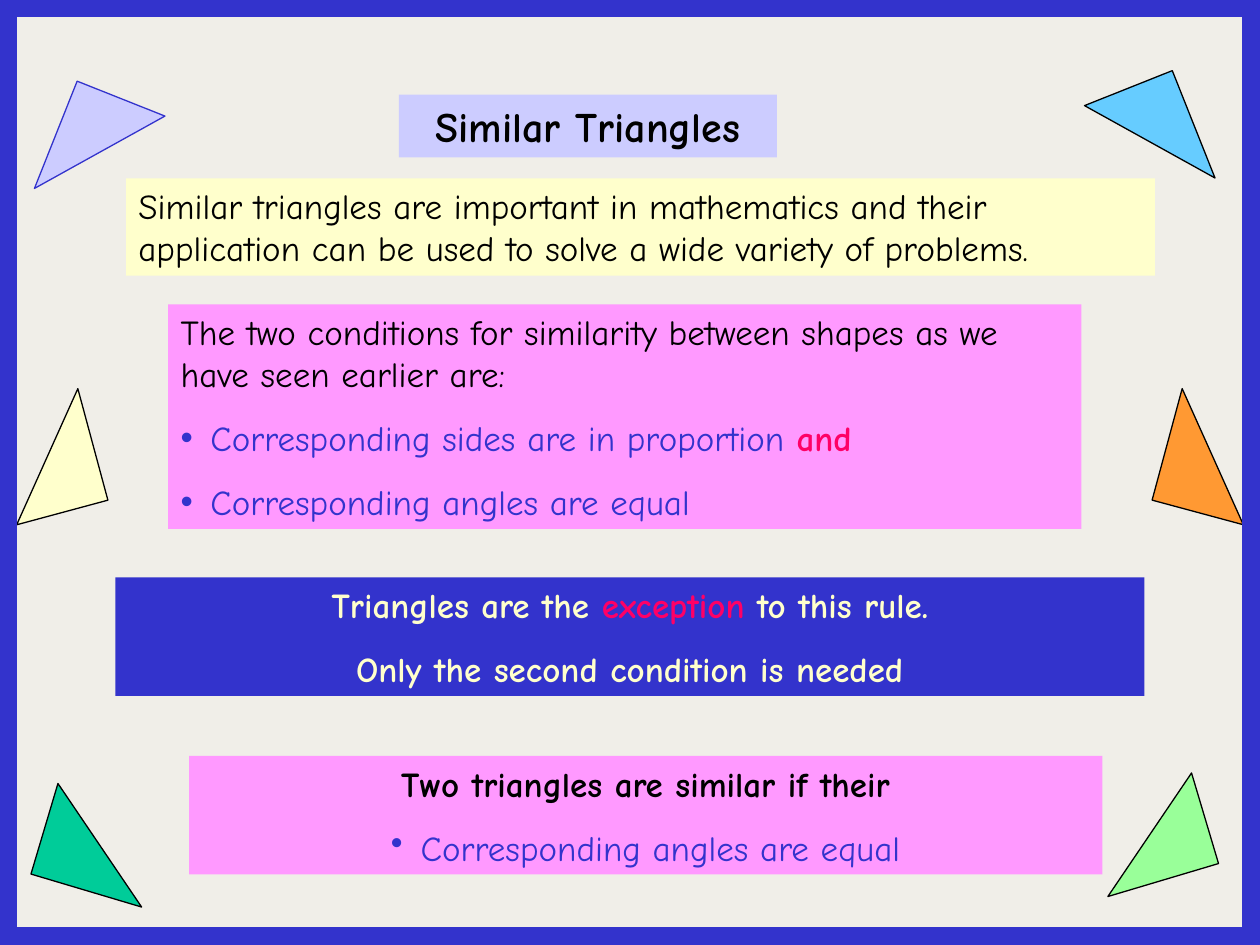
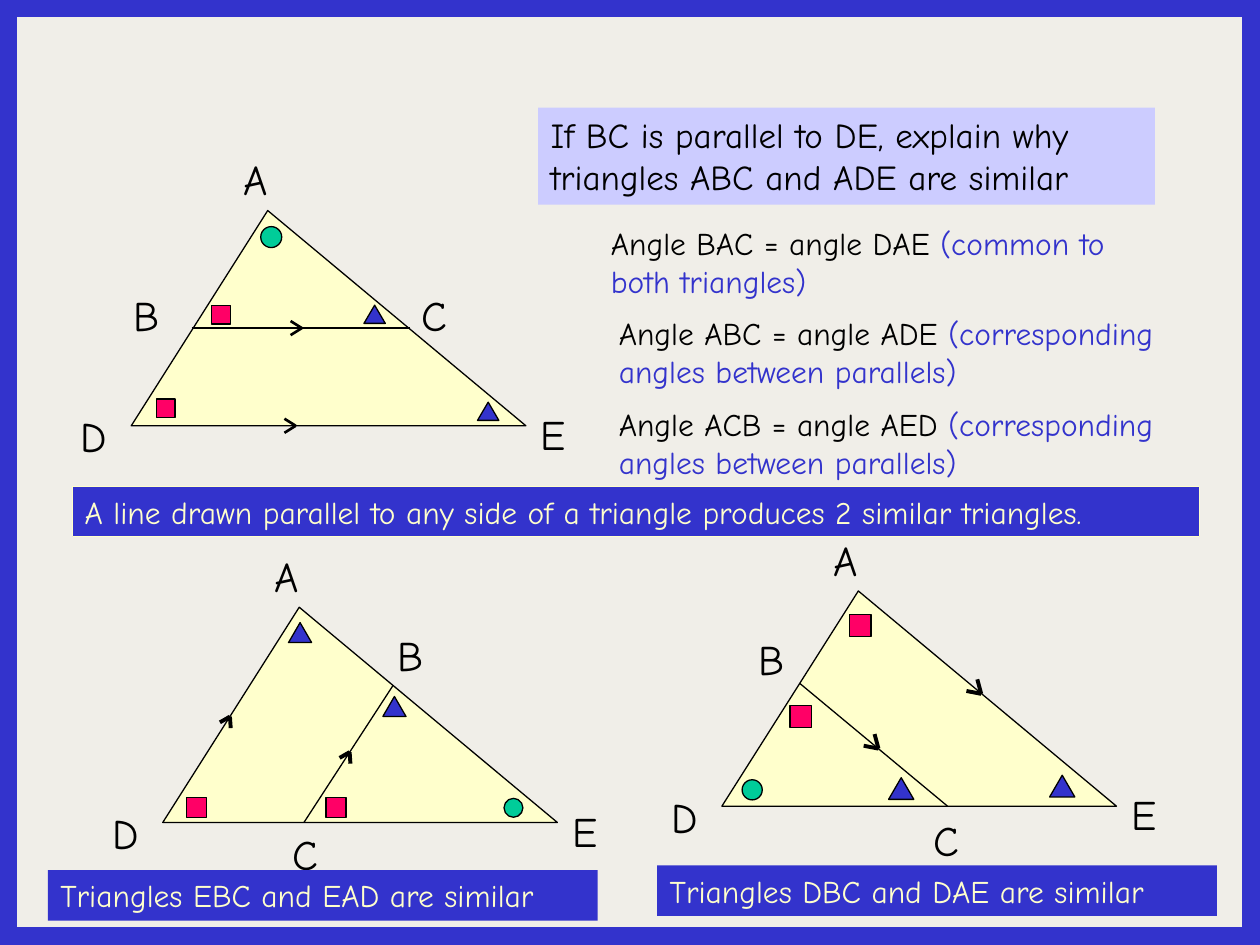
import math
from lxml import etree
from pptx import Presentation
from pptx import util as u
from pptx.dml import color as c
from pptx.enum import shapes, text
from pptx.oxml import ns

Pt = u.Pt
COLORS = {
    "paper": "F0EEE8", "black": "000000", "blue": "3333CC", "cream": "FFFFCC",
    "lilac": "CCCCFF", "pink": "FF99FF", "red": "FF0066", "green": "00CC99",
    "sky": "66CCFF", "orange": "FF9933", "lime": "99FF99",
}
RECT = shapes.MSO_SHAPE.RECTANGLE
TRIANGLE = shapes.MSO_SHAPE.ISOSCELES_TRIANGLE
ANGLE_MARKS = {
    "circle": (shapes.MSO_SHAPE.OVAL, "green"),
    "square": (RECT, "red"),
    "triangle": (TRIANGLE, "blue"),
}


def rgb(name):
    return c.RGBColor.from_string(COLORS[name])


def add_span(para, content, *, size=20, color="black", bold=False):
    span = para.add_run()
    span.text = content
    font = span.font
    font.name, font.size, font.bold = "Comic Neue", Pt(size), bold
    font.color.rgb = rgb(color)


def set_bullet(para, color):
    """Give the paragraph a hanging dot, or clear any inherited bullet if color is None."""
    props = para._p.get_or_add_pPr()
    hang = Pt(17) if color else 0
    props.set("marL", str(hang))
    props.set("indent", str(-hang))
    if not color:
        etree.SubElement(props, ns.qn("a:buNone"))
        return
    tint = etree.SubElement(props, ns.qn("a:buClr"))
    etree.SubElement(tint, ns.qn("a:srgbClr"), val=COLORS[color])
    etree.SubElement(props, ns.qn("a:buChar"), char="•")


class Page:
    """One slide in the shared style; all lengths are points."""

    def __init__(self, deck, layout):
        self.slide = deck.slides.add_slide(deck.slide_layouts[layout])
        self.shapes = self.slide.shapes

    def dress(self, shape, fill=None, line=None, width=0.75):
        if fill:
            shape.fill.solid()
            shape.fill.fore_color.rgb = rgb(fill)
        else:
            shape.fill.background()
        if line:
            shape.line.color.rgb = rgb(line)
            shape.line.width = Pt(width)
        else:
            shape.line.fill.background()
        return shape

    def shape(self, kind, at, fill=None, line=None, width=0.75):
        shape = self.shapes.add_shape(kind, *map(Pt, at))
        shape.shadow.inherit = False
        return self.dress(shape, fill, line, width)

    def prepare(self, box):
        frame = box.text_frame
        frame.word_wrap = True
        frame.auto_size = text.MSO_AUTO_SIZE.NONE
        frame.vertical_anchor = text.MSO_ANCHOR.TOP
        return box

    def panel(self, at, fill, line=None):
        return self.prepare(self.shape(RECT, at, fill, line))

    def placeholder(self, index, at, fill):
        box = self.slide.placeholders[index]
        box.left, box.top, box.width, box.height = map(Pt, at)
        return self.prepare(self.dress(box, fill))

    def textbox(self, at):
        return self.prepare(self.shapes.add_textbox(*map(Pt, at)))

    def para(self, box, *spans, bullet=None, center=False, size=20, **style):
        """Add a paragraph of spans, each a string or a (string, format) pair."""
        frame = box.text_frame
        first = not frame.text
        para = frame.paragraphs[0] if first else frame.add_paragraph()
        para.alignment = text.PP_ALIGN.CENTER if center else text.PP_ALIGN.LEFT
        para.space_before = Pt(0 if first else 0.625 * size)
        set_bullet(para, bullet)
        for span in spans:
            content, extra = (span, {}) if isinstance(span, str) else span
            for number, row in enumerate(content.split("\n")):
                if number:
                    para.add_line_break()
                add_span(para, row, **{"size": size, **style, **extra})

    def line(self, start, end, width=0.75):
        line = self.shapes.add_connector(
            shapes.MSO_CONNECTOR.STRAIGHT, *map(Pt, (*start, *end)))
        line.line.color.rgb = rgb("black")
        line.line.width = Pt(width)
        etree.SubElement(line._element.spPr, ns.qn("a:effectLst"))

    def chevron(self, tip, heading, size, width):
        """Mark a parallel side with an open arrowhead; heading is in degrees, clockwise."""
        for turn in (148, 212):
            angle = math.radians(heading + turn)
            tail = (tip[0] + size * math.cos(angle), tip[1] + size * math.sin(angle))
            self.line(tail, tip, width)

    def vertex(self, letter, x, y):
        self.para(self.textbox((x, y, 30.5, 36)), letter, size=24)

    def triangle_ade(self, x, y):
        """Draw triangle ADE with its letters, apex A at x, y."""
        builder = self.shapes.build_freeform(Pt(x), Pt(y), scale=1.0)
        builder.add_line_segments(
            [(Pt(x - 78), Pt(y + 123)), (Pt(x + 147.5), Pt(y + 123))], close=True)
        outline = builder.convert_to_shape()
        outline.shadow.inherit = False
        self.dress(outline, "cream", "black")
        for letter, dx, dy in (("A", -21, -36), ("D", -114, 111), ("E", 149, 109.5)):
            self.vertex(letter, x + dx, y + dy)

    def angle_marks(self, kind, width, height, *corners):
        preset, fill = ANGLE_MARKS[kind]
        for corner in corners:
            self.shape(preset, (*corner, width, height), fill, "black")

    def border(self):
        self.shape(RECT, (0, 0, 720, 540), line="blue", width=20)


def build_conditions(deck):
    page = Page(deck, 1)
    title = page.placeholder(0, (228, 54, 216, 36), "lilac")
    page.para(title, "Similar Triangles", size=24, bold=True, center=True)

    intro = page.panel((72, 102, 588, 55.5), "cream")
    page.para(intro, "Similar triangles are important in mathematics and their "
                     "application can be used to solve a wide variety of problems.")

    conditions = page.placeholder(1, (96, 174, 522, 128.2), "pink")
    page.para(conditions, "The two conditions for similarity between shapes as we "
                          "have seen earlier are:")
    page.para(conditions, "Corresponding sides are in proportion ",
              ("and", {"color": "red", "bold": True}), bullet="blue", color="blue")
    page.para(conditions, "Corresponding angles are equal", bullet="blue", color="blue")

    exception = page.panel((66, 330, 588, 67.7), "blue")
    emphasis = {"center": True, "bold": True, "color": "cream"}
    page.para(exception, "Triangles are the ", ("exception", {"color": "red"}),
              " to this rule.", **emphasis)
    page.para(exception, "Only the second condition is needed", **emphasis)

    rule = page.panel((108, 432, 522, 67.7), "pink")
    page.para(rule, "Two triangles are similar if their", center=True, bold=True)
    page.para(rule, "Corresponding angles are equal", center=True,
              bullet="blue", color="blue")

    # Left, top, rotation, apex side (0 left, 1 right), fill, line
    for left, top, turn, apex, fill, line in (
        (630, 48, 158.3, 0, "sky", "black"),
        (666, 228, 15.1, 0, "orange", "black"),
        (630, 444, 253.4, 0, "lime", "black"),
        (30, 54, 201.7, 1, "lilac", "blue"),
        (0, 228, 344.9, 1, "cream", "black"),
        (30, 450, 106.6, 1, "green", "black"),
    ):
        ornament = page.shape(TRIANGLE, (left, top, 54, 66), fill, line)
        ornament.adjustments[0] = apex
        ornament.rotation = turn
    page.border()


def build_parallels(deck):
    page = Page(deck, 5)
    question = page.placeholder(0, (307.5, 61.5, 352.5, 55.5), "lilac")
    page.para(question, "If BC is parallel to DE, explain why triangles ABC and ADE "
                        "are similar")

    page.triangle_ade(153, 120.3)
    page.line((109.5, 187.5), (234, 187.5))
    page.vertex("B", 69, 162)
    page.vertex("C", 234, 162)
    page.chevron((172.5, 187.5), 0, 7.6, 1.5)
    page.chevron((169, 243.3), 0, 7.6, 1.5)
    page.angle_marks("circle", 12, 12, (149, 129.5))
    page.angle_marks("square", 10.8, 10.8, (89.3, 228), (121, 174.4))
    page.angle_marks("triangle", 12.2, 10.4, (272.9, 229.8), (208, 174.4))

    for left, top, equality, reason in (
        (342, 124.5, "Angle BAC = angle DAE ", "(common to\nboth triangles)"),
        (346.5, 176, "Angle ABC = angle ADE ", "(corresponding angles between parallels)"),
        (346.5, 228, "Angle ACB = angle AED ", "(corresponding angles between parallels)"),
    ):
        page.para(page.textbox((left, top, 348, 50.4)), equality,
                  (reason, {"color": "blue"}), size=18)

    page.triangle_ade(171, 347)
    page.line((173.7, 470), (224.6, 391.7))
    page.vertex("B", 220.3, 356.4)
    page.vertex("C", 160, 470)
    for tip in ((199.8, 429.8), (131.4, 409.5)):
        page.chevron(tip, -62, 6.6, 2.25)
    page.angle_marks("square", 11.5, 11.5, (106.6, 455.6), (186.3, 455.6))
    page.angle_marks("triangle", 13.2, 11.4, (164.9, 355.8), (218.8, 398))
    page.angle_marks("circle", 10.8, 10.8, (288, 456.2))

    page.triangle_ade(490.5, 337.7)
    page.line((457, 390.5), (541.5, 460.7))
    page.vertex("B", 426.2, 358.6)
    page.vertex("C", 526.3, 462.2)
    for tip in ((502, 427.8), (560.7, 396.5)):
        page.chevron(tip, 43, 8.6, 2.25)
    page.angle_marks("circle", 11.5, 11.5, (424.1, 445.6))
    page.angle_marks("square", 12.4, 12.4, (451.5, 403.3), (485.3, 351.3))
    page.angle_marks("triangle", 14.4, 12.4, (507.8, 444.4), (599.8, 443))

    for at, line, content in (
        ((41.3, 278, 644.2, 28.8), "cream",
         "A line drawn parallel to any side of a triangle produces 2 similar triangles."),
        ((27.4, 497.3, 314.2, 28.8), None, "Triangles EBC and EAD are similar"),
        ((375.6, 494.6, 319.8, 28.8), None, "Triangles DBC and DAE are similar"),
    ):
        page.para(page.panel(at, "blue", line), content, size=18, color="cream")
    page.border()


def main():
    deck = Presentation()
    deck.slide_width, deck.slide_height = Pt(720), Pt(540)
    backdrop = deck.slide_master.background.fill
    backdrop.solid()
    backdrop.fore_color.rgb = rgb("paper")
    build_conditions(deck)
    build_parallels(deck)
    deck.save("out.pptx")


if __name__ == "__main__":
    main()
